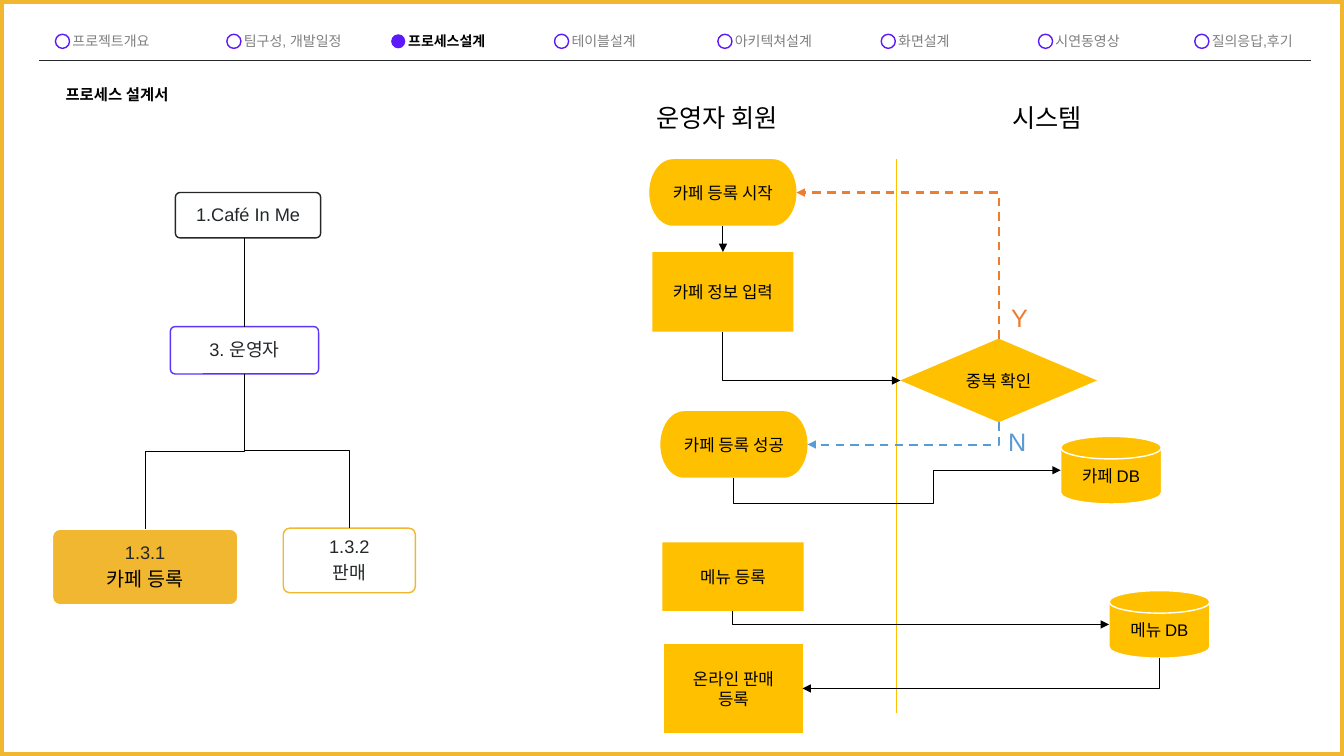
"""Builds the process design slide: navigation, menu tree and registration flow."""
from lxml.etree import SubElement
from pptx import Presentation
from pptx.dml.color import RGBColor
from pptx.enum.dml import MSO_LINE
from pptx.enum.shapes import MSO_CONNECTOR, MSO_SHAPE
from pptx.enum.text import MSO_ANCHOR, PP_ALIGN
from pptx.oxml.ns import qn
from pptx.util import Inches, Pt

BLACK = RGBColor(0x00, 0x00, 0x00)
WHITE = RGBColor(0xFF, 0xFF, 0xFF)
INK = RGBColor(0x25, 0x28, 0x2A)
GRAY = RGBColor(0x7F, 0x7F, 0x7F)
VIOLET = RGBColor(0x5C, 0x19, 0xFA)
INDIGO = RGBColor(0x5C, 0x34, 0xFA)
AMBER = RGBColor(0xFF, 0xC0, 0x00)
GOLD = RGBColor(0xF1, 0xB7, 0x31)
ORANGE = RGBColor(0xED, 0x7D, 0x31)
BLUE = RGBColor(0x5B, 0x9B, 0xD5)

WIDTH, HEIGHT = 13.33, 7.5
DOT = 0.14
TITLE = "프로세스 설계서"
CURRENT = "프로세스설계"
NAVIGATION = [
    ("프로젝트개요", 0.55), ("팀구성, 개발일정", 2.25), (CURRENT, 3.88), ("테이블설계", 5.5),
    ("아키텍쳐설계", 7.12), ("화면설계", 8.74), ("시연동영상", 10.3), ("질의응답,후기", 11.85),
]
LABELS = [
    ("운영자 회원", (6.41, 0.97, 2.31, 0.4), BLACK),
    ("시스템", (9.94, 0.97, 1.56, 0.4), BLACK),
    ("Y", (9.93, 2.95, 0.4, 0.4), ORANGE),
    ("N", (9.9, 4.18, 0.4, 0.4), BLUE),
]
TERMINATOR, DISK = MSO_SHAPE.FLOWCHART_TERMINATOR, MSO_SHAPE.FLOWCHART_MAGNETIC_DISK
STEPS = {
    "start": (TERMINATOR, (6.44, 1.58, 1.46, 0.66), ["카페 등록 시작"]),
    "input": (MSO_SHAPE.RECTANGLE, (6.47, 2.5, 1.4, 0.79), ["카페 정보 입력"]),
    "check": (MSO_SHAPE.FLOWCHART_DECISION, (8.93, 3.36, 1.95, 0.83), ["중복 확인"]),
    "success": (TERMINATOR, (6.55, 4.08, 1.46, 0.66), ["카페 등록 성공"]),
    "cafe_db": (DISK, (10.52, 4.33, 1, 0.67), ["카페 DB"]),
    "menu": (MSO_SHAPE.RECTANGLE, (6.57, 5.38, 1.4, 0.68), ["메뉴 등록"]),
    "menu_db": (DISK, (11, 5.86, 1, 0.67), ["메뉴 DB"]),
    "sale": (MSO_SHAPE.FLOWCHART_PREDEFINED_PROCESS, (6.59, 6.39, 1.37, 0.88),
             ["온라인 판매", "등록"]),
}
FLOWS = [
    ("input", "bottom", "check", "left", BLACK, None),
    ("check", "bottom", "success", "right", BLUE, None),
    ("check", "top", "start", "right", ORANGE, None),
    ("menu", "bottom", "menu_db", "left", BLACK, None),
    ("menu_db", "bottom", "sale", "right", BLACK, None),
    ("success", "bottom", "cafe_db", "left", BLACK, (4.99, 9.26)),
]
TREE = {
    "root": ((1.74, 1.91, 1.44, 0.45), None, INK, [("1.Café In Me", 13, INK)]),
    "operator": ((1.69, 3.24, 1.47, 0.47), None, INDIGO, [("3. 운영자", 13, INK)]),
    "register": ((0.52, 5.25, 1.84, 0.75), GOLD, WHITE,
                 [("1.3.1", 13, INK), ("카페 등록", 14, BLACK)]),
    "sell": ((2.81, 5.24, 1.31, 0.64), None, GOLD, [("1.3.2", 13, INK), ("판매", 13, INK)]),
}
SIDES = {"top": 0, "left": 1, "bottom": 2, "right": 3}
ANCHORS = {"top": (0.5, 0), "left": (0, 0.5), "bottom": (0.5, 1), "right": (1, 0.5)}

deck = Presentation()
deck.slide_width, deck.slide_height = Inches(WIDTH), Inches(HEIGHT)
slide = deck.slides.add_slide(deck.slide_layouts[5])
shapes = slide.shapes


def inches(values):
    return [Inches(value) for value in values]


def write(frame, lines, *, align=PP_ALIGN.LEFT, anchor=MSO_ANCHOR.TOP, bold=False,
          spacing=1.0, before=0, inset=0.1):
    frame.word_wrap = True
    frame.vertical_anchor = anchor
    frame.margin_left = frame.margin_right = Inches(inset)
    frame.margin_top = frame.margin_bottom = Inches(0.05)
    for index, (text, size, color) in enumerate(lines):
        paragraph = frame.add_paragraph() if index else frame.paragraphs[0]
        paragraph.alignment, paragraph.line_spacing = align, spacing
        paragraph.space_before = Pt(before if index else 0)
        run = paragraph.add_run()
        run.text = text
        run.font.name, run.font.size, run.font.bold = "Arial", Pt(size), bold
        run.font.color.rgb = color


def label(box, text, size, color, **formats):
    write(shapes.add_textbox(*inches(box)).text_frame, [(text, size, color)], **formats)


def block(kind, box, fill=None, outline=None, weight=1):
    shape = shapes.add_shape(kind, *inches(box))
    shape.shadow.inherit = False
    if fill is None:
        shape.fill.background()
    else:
        shape.fill.solid()
        shape.fill.fore_color.rgb = fill
    if outline is None:
        shape.line.fill.background()
    else:
        shape.line.color.rgb, shape.line.width = outline, Pt(weight)
    return shape


def connect(kind, begin, end, color, weight=0.75, arrow=False):
    link = shapes.add_connector(kind, *inches(begin + end))
    link.line.color.rgb, link.line.width = color, Pt(weight)
    if arrow:
        SubElement(link.line._get_or_add_ln(), qn("a:tailEnd"), type="triangle")
    SubElement(link._element.spPr, qn("a:effectLst"))
    return link


def point(box, side):
    left, top, width, height = box
    across, down = ANCHORS[side]
    return left + across * width, top + down * height


def glue_index(kind, side):
    return SIDES[side] + (1 if kind == DISK else 0)


def bend(link, begin, end, turns):
    (x1, y1), (x2, y2) = begin, end
    across, down = abs(x2 - x1), abs(y2 - y1)
    link.left, link.top = inches(((x1 + x2 - down) / 2, (y1 + y2 - across) / 2))
    link.width, link.height = inches((down, across))
    xfrm = link._element.spPr.find(qn("a:xfrm"))
    xfrm.set("rot", "16200000" if x2 > x1 else "5400000")
    xfrm.set("flipH", "1" if (x2 > x1) == (y2 > y1) else "0")
    xfrm.set("flipV", "0")
    geometry = link._element.spPr.find(qn("a:prstGeom"))
    geometry.set("prst", "bentConnector4" if turns else "bentConnector2")
    if turns:
        shares = (turns[0] - y1) / (y2 - y1), (turns[1] - x1) / (x2 - x1)
        guides = geometry.find(qn("a:avLst"))
        for number, share in enumerate(shares, 1):
            SubElement(guides, qn("a:gd"), name=f"adj{number}",
                       fmla=f"val {round(share * 100000)}")


title = shapes.title
title.left, title.top, title.width, title.height = inches((0.55, 0.79, 1.6, 0.29))
write(title.text_frame, [(TITLE, 11, BLACK)], bold=True)

block(MSO_SHAPE.RECTANGLE, (0, 0, WIDTH, HEIGHT), outline=GOLD, weight=6)
connect(MSO_CONNECTOR.STRAIGHT, (0.39, 0.6), (13, 0.6), INK, 1)
for name, left in NAVIGATION:
    active = name == CURRENT
    block(MSO_SHAPE.OVAL, (left, 0.34, DOT, DOT), VIOLET if active else None,
          None if active else VIOLET)
    label((left + DOT / 2, 0.27, 1.38, 0.27), name, 10, BLACK if active else GRAY, bold=active)

steps = {}
for key, (kind, box, lines) in STEPS.items():
    steps[key] = block(kind, box, AMBER, WHITE if kind == DISK else None)
    write(steps[key].text_frame, [(line, 12, BLACK) for line in lines],
          align=PP_ALIGN.CENTER, anchor=MSO_ANCHOR.MIDDLE)

connect(MSO_CONNECTOR.STRAIGHT, (8.89, 1.58), (8.89, 7.07), AMBER)
first = connect(MSO_CONNECTOR.STRAIGHT, point(STEPS["start"][1], "bottom"),
                point(STEPS["input"][1], "top"), BLACK, arrow=True)
first.begin_connect(steps["start"], SIDES["bottom"])
first.end_connect(steps["input"], SIDES["top"])
for source, out_side, target, in_side, color, turns in FLOWS:
    begin, end = point(STEPS[source][1], out_side), point(STEPS[target][1], in_side)
    dashed = color != BLACK
    flow = connect(MSO_CONNECTOR.ELBOW, begin, end, color, 1.5 if dashed else 0.75, arrow=True)
    if dashed:
        flow.line.dash_style = MSO_LINE.DASH
    flow.begin_connect(steps[source], glue_index(STEPS[source][0], out_side))
    flow.end_connect(steps[target], glue_index(STEPS[target][0], in_side))
    bend(flow, begin, end, turns)
for text, box, color in LABELS:
    label(box, text, 18, color)

nodes = {}
for key, (box, fill, outline, lines) in TREE.items():
    nodes[key] = block(MSO_SHAPE.ROUNDED_RECTANGLE, box, fill, outline)
    nodes[key].adjustments[0] = 0.1
    write(nodes[key].text_frame, lines, align=PP_ALIGN.CENTER, anchor=MSO_ANCHOR.MIDDLE,
          spacing=0.9, before=4.5, inset=0.05)

trunk, fork = point(TREE["operator"][0], "bottom")
trunk_link = connect(MSO_CONNECTOR.STRAIGHT, (trunk, 2.36), (trunk, 3.24), BLACK)
trunk_link.end_connect(nodes["operator"], SIDES["top"])
for child in ("register", "sell"):
    x, y = point(TREE[child][0], "top")
    middle = (fork + y) / 2
    outline = shapes.build_freeform(Inches(trunk), Inches(fork))
    outline.add_line_segments([inches(p) for p in ((trunk, middle), (x, middle), (x, y))],
                              close=False)
    branch = outline.convert_to_shape()
    branch.shadow.inherit = False
    branch.fill.background()
    branch.line.color.rgb, branch.line.width = BLACK, Pt(0.75)

deck.save("out.pptx")
